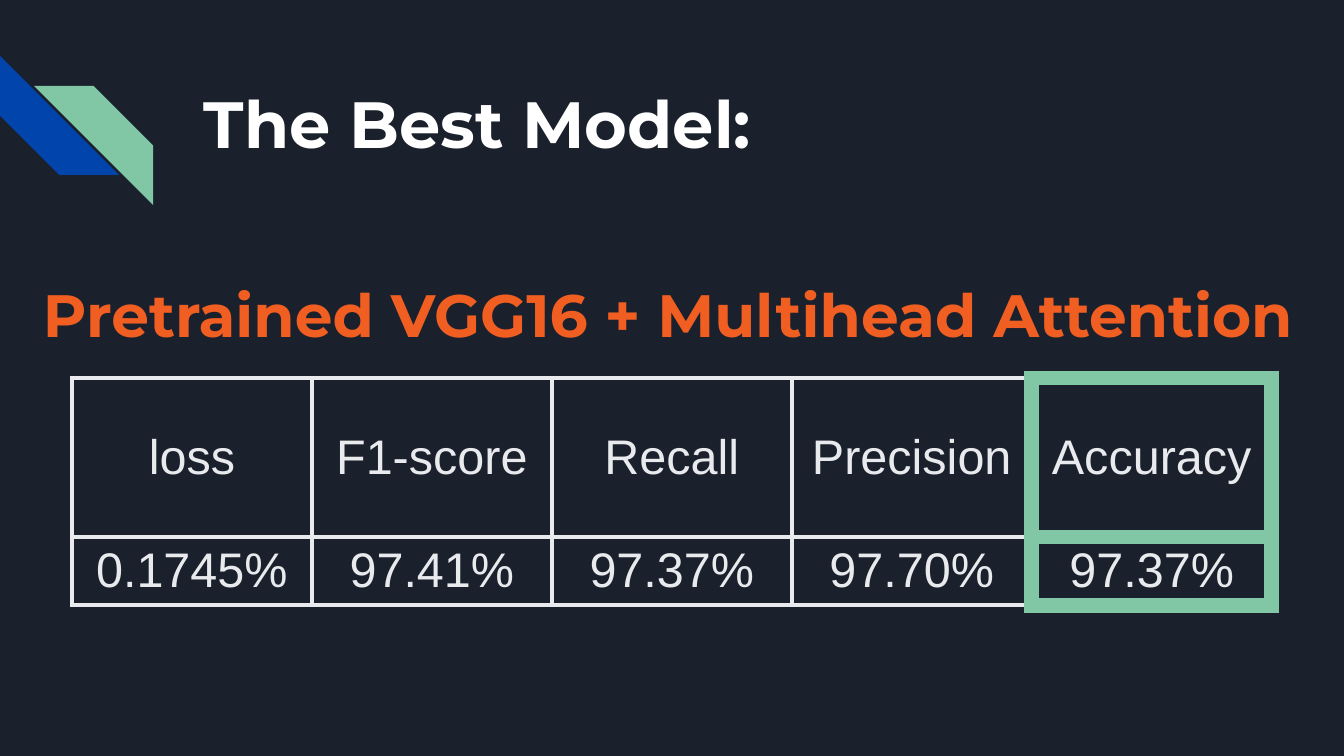
from dataclasses import dataclass

from lxml.etree import SubElement
from pptx import Presentation
from pptx.dml.color import RGBColor as RGB
from pptx.enum.shapes import MSO_SHAPE as SHAPE
from pptx.enum.text import MSO_ANCHOR as ANCHOR, PP_ALIGN as ALIGN
from pptx.oxml.ns import qn
from pptx.util import Emu, Pt


@dataclass(frozen=True)
class Theme:
    """Colours, fonts and type sizes of the slide."""
    back: str = "1B212C"
    blue: str = "0145AC"
    green: str = "82C7A5"
    orange: str = "F15E22"
    white: str = "FFFFFF"
    pale: str = "E8EAED"
    head_font: str = "Montserrat"
    body_font: str = "Arial"
    title_size: int = 35
    model_size: int = 32
    cell_size: int = 26
    thin: float = 2.25
    thick: float = 9


THEME = Theme()
SCALE = 914400 / 134.4
METRICS = [
    ("loss", "F1-score", "Recall", "Precision", "Accuracy"),
    ("0.1745%", "97.41%", "97.37%", "97.70%", "97.37%"),
]


def px(n):
    """Turn pixels into EMU."""
    return Emu(round(n * SCALE))


def style(p, font, size, color, bold=False):
    """Set the font of a paragraph."""
    p.font.name, p.font.size, p.font.bold = font, Pt(size), bold
    p.font.color.rgb = RGB.from_string(color)


def add_stripes(s, x, y):
    """Draw the pair of interlocking diagonal stripes."""
    size = 119
    for dx, dy, angle, color in ((0, 0, 270, THEME.blue), (34, 30, 90, THEME.green)):
        sp = s.shapes.add_shape(SHAPE.DIAGONAL_STRIPE, px(x + dx), px(y + dy), px(size), px(size))
        sp.rotation = angle
        sp.shadow.inherit = False
        sp.fill.solid()
        sp.fill.fore_color.rgb = RGB.from_string(color)
        sp.line.fill.background()


def add_heading(s, x, y, w, h, text, size, color):
    """Place one bold heading, centred vertically in its box."""
    tf = s.shapes.add_textbox(px(x), px(y), px(w), px(h)).text_frame
    tf.word_wrap = True
    tf.vertical_anchor = ANCHOR.MIDDLE
    tf.margin_left = tf.margin_right = tf.margin_top = tf.margin_bottom = px(13)
    p = tf.paragraphs[0]
    p.text = text
    style(p, THEME.head_font, size, color, bold=True)


def set_border(cell, side, color, width):
    """Draw one side of a cell's border."""
    ln = SubElement(cell._tc.get_or_add_tcPr(), qn(f"a:ln{side}"), w=str(Pt(width)))
    SubElement(SubElement(ln, qn("a:solidFill")), qn("a:srgbClr"), val=color)


def fill_cell(cell, text, margin, strong_sides):
    """Write a centred cell, with a thick green border on its strong sides."""
    cell.vertical_anchor = ANCHOR.MIDDLE
    cell.margin_left = cell.margin_right = px(9)
    cell.margin_top = cell.margin_bottom = px(margin)
    for side in "LRTB":
        strong = side in strong_sides
        set_border(cell, side, THEME.green if strong else THEME.pale,
                   THEME.thick if strong else THEME.thin)
    cell.fill.background()
    p = cell.text_frame.paragraphs[0]
    p.text = text
    p.alignment = ALIGN.CENTER
    style(p, THEME.body_font, THEME.cell_size, THEME.pale)


def add_metrics(s, x, y, w, row_heights):
    """Build the metrics table and frame its last column."""
    cols = len(METRICS[0])
    table = s.shapes.add_table(len(METRICS), cols, px(x), px(y), px(w), px(sum(row_heights))).table
    table.first_row = table.horz_banding = False
    for col in table.columns:
        col.width = px(w // cols)
    strong = {cols - 2: "R", cols - 1: "LRTB"}
    for r, (height, margin) in enumerate(zip(row_heights, (9, 5))):
        table.rows[r].height = px(height)
        for c, text in enumerate(METRICS[r]):
            fill_cell(table.cell(r, c), text, margin, strong.get(c, ""))


def main():
    """Build the slide and save it."""
    prs = Presentation()
    prs.slide_width, prs.slide_height = px(1344), px(756)
    s = prs.slides.add_slide(prs.slide_layouts[6])
    s.background.fill.solid()
    s.background.fill.fore_color.rgb = RGB.from_string(THEME.back)
    add_stripes(s, 0, 56)
    add_heading(s, 191, 55, 1035, 134, "The Best Model:", THEME.title_size, THEME.white)
    add_heading(s, 30, 250, 1308, 128, "Pretrained VGG16 + Multihead Attention",
                THEME.model_size, THEME.orange)
    add_metrics(s, 72, 378, 1200, (159, 67))
    prs.save("out.pptx")


if __name__ == "__main__":
    main()
